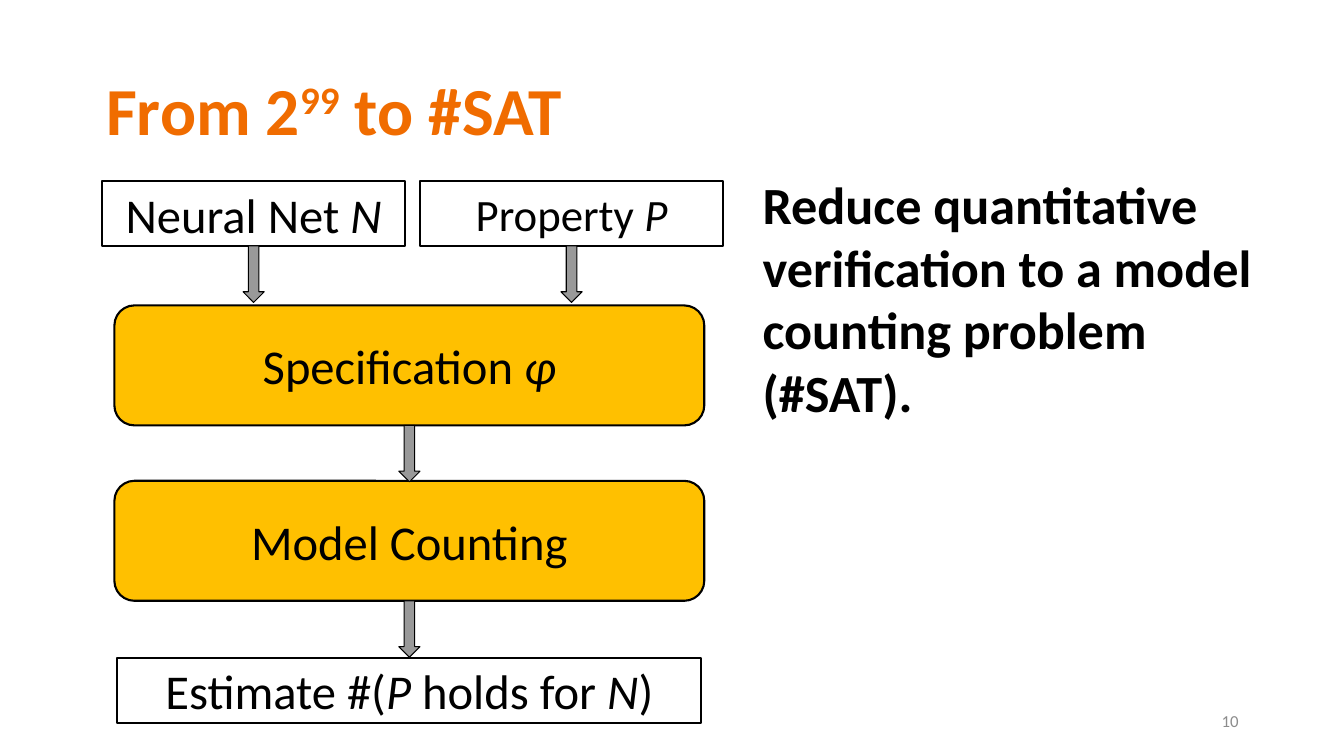
"""Build a slide that reduces neural net verification to model counting."""
import pptx
import pptx.dml.color
import pptx.enum.shapes
import pptx.enum.text
import pptx.util

WIDE = pptx.util.Inches(13.33)
HIGH = pptx.util.Inches(7.5)
KIND = pptx.enum.shapes.MSO_SHAPE
ALIGN = pptx.enum.text.PP_ALIGN
ANCHOR = pptx.enum.text.MSO_ANCHOR
MID, LEFT, RIGHT = 30.46, 18.87, 42.53
TOPS = [24, 40.4, 63.6, 87.07]
THIN, TALL = 8.53, 15.87
GOLD = "FFC000"


def color(code):
    """Turn a hex string into a colour."""
    return pptx.dml.color.RGBColor.from_string(code)


def place(x, y, w, h):
    """Turn percent shares of the slide into lengths."""
    return [round(part * side / 100)
            for part, side in zip((x, y, w, h), (WIDE, HIGH, WIDE, HIGH))]


def write(shape, text, size, pad=0.93, ink="000000", bold=False,
          align=ALIGN.LEFT, anchor=ANCHOR.MIDDLE):
    """Set text in which *marks* slant and ^marks^ raise a part."""
    frame = shape.text_frame
    frame.word_wrap = True
    frame.vertical_anchor = anchor
    side, edge = place(1, pad, 0, 0)[:2]
    frame.margin_left = frame.margin_right = side
    frame.margin_top = frame.margin_bottom = edge
    para = frame.paragraphs[0]
    para.alignment = align
    mark = "^" if "^" in text else "*"
    for step, part in enumerate(text.split(mark)):
        if not part:
            continue
        run = para.add_run()
        run.text = part
        font = run.font
        font.name, font.size, font.bold = "Calibri", pptx.util.Pt(size), bold
        font.color.rgb = color(ink)
        if step % 2 and mark == "*":
            font.italic = True
        elif step % 2:
            run._r.get_or_add_rPr().set("baseline", "30000")
    return para


def label(slide, area, text, size, **style):
    """Add a plain text box."""
    return write(slide.shapes.add_textbox(*place(*area)), text, size, **style)


def block(slide, kind, mid, top, wide, high, fill, line):
    """Add an outlined shape centred on a column."""
    shape = slide.shapes.add_shape(
        kind, *place(mid - wide / 2, top, wide, high))
    shape.shadow.inherit = False
    if fill:
        shape.fill.solid()
        shape.fill.fore_color.rgb = color(fill)
    else:
        shape.fill.background()
    shape.line.color.rgb = color("000000")
    shape.line.width = pptx.util.Pt(line)
    return shape


def node(slide, text, mid, top, wide, high, fill=None, size=34.7):
    """Add a labelled step of the flow."""
    kind = KIND.ROUNDED_RECTANGLE if fill else KIND.RECTANGLE
    shape = block(slide, kind, mid, top, wide, high, fill, 1.5)
    write(shape, text, size, pad=1.73, align=ALIGN.CENTER)


def arrow(slide, mid, top):
    """Add a grey arrow that points down."""
    block(slide, KIND.DOWN_ARROW, mid, top, 1.58, 7.47, "999999", 0.75)


def main():
    """Build and save the slide."""
    deck = pptx.Presentation()
    deck.slide_width, deck.slide_height = WIDE, HIGH
    slide = deck.slides.add_slide(deck.slide_layouts[6])
    title = label(slide, (6.9, 5.33, 86.27, 19.33), "From 2^99^ to #SAT", 48,
                  ink="F06C00", bold=True)
    title.line_spacing = 0.9
    label(slide, (55.74, 21.87, 39.53, 73.73),
          "Reduce quantitative verification to a model counting problem "
          "(#SAT).", 37.3, bold=True, anchor=ANCHOR.TOP)
    label(slide, (70.67, 92.67, 22.5, 5.33), "10", 12, ink="8C8C8C",
          align=ALIGN.RIGHT)
    node(slide, "Neural Net *N*", LEFT, TOPS[0], 22.58, THIN)
    node(slide, "Property *P*", RIGHT, TOPS[0], 22.58, THIN, size=32)
    node(slide, "Specification *φ*", MID, TOPS[1], 43.89, TALL, GOLD)
    node(slide, "Model Counting", MID, TOPS[2], 43.89, TALL, GOLD)
    node(slide, "Estimate #(*P* holds for *N*)", MID, TOPS[3], 43.44, THIN)
    for mid in (LEFT, RIGHT):
        arrow(slide, mid, TOPS[0] + THIN)
    for top in TOPS[1:3]:
        arrow(slide, MID, top + TALL)
    deck.save("out.pptx")


if __name__ == "__main__":
    main()
